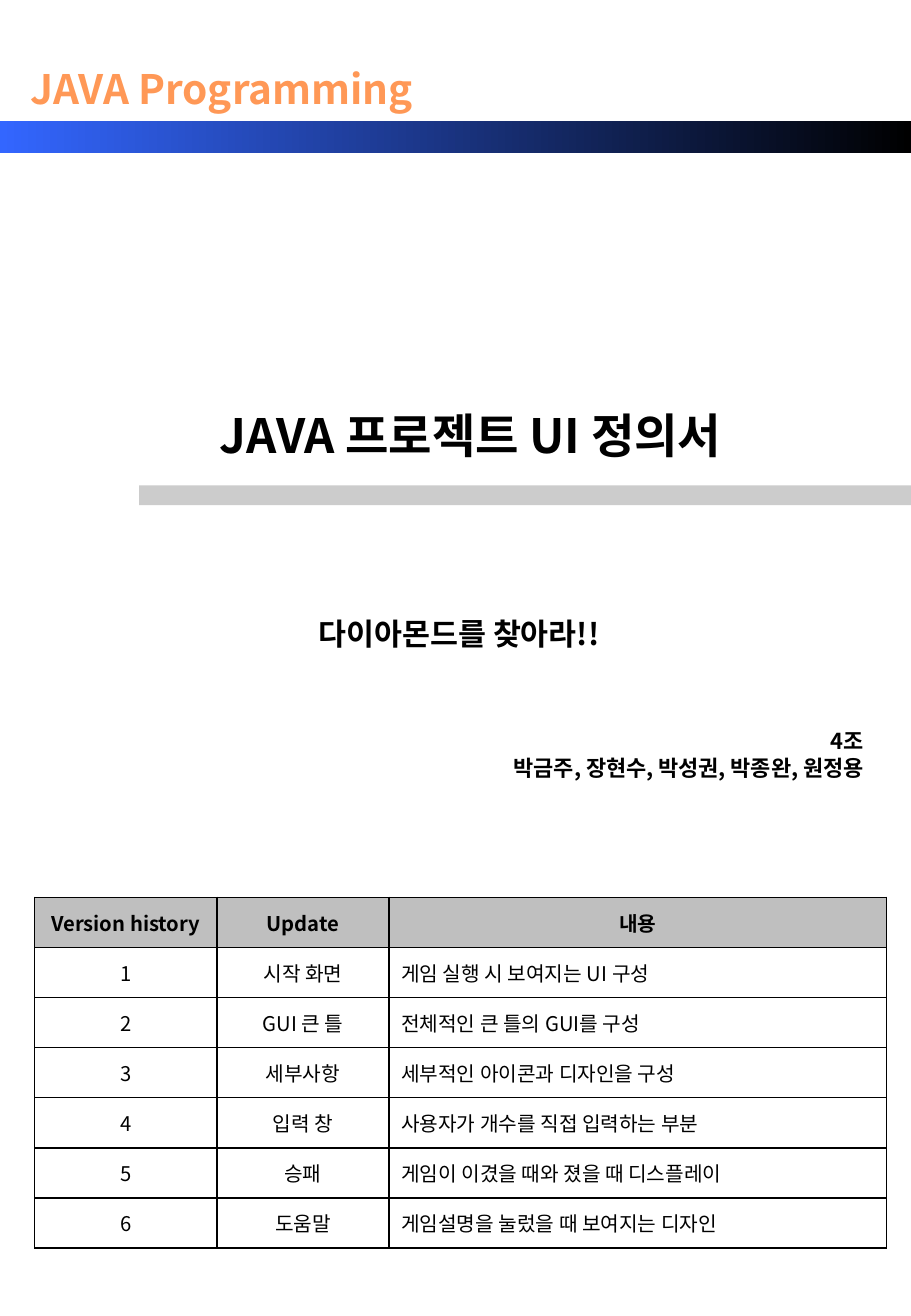
"""Build the cover page of a Java project UI definition document."""
from dataclasses import dataclass

from lxml.etree import SubElement
from pptx import Presentation
from pptx.dml.color import RGBColor
from pptx.enum.shapes import MSO_SHAPE
from pptx.enum.text import MSO_ANCHOR, PP_ALIGN
from pptx.oxml.ns import qn
from pptx.util import Pt


@dataclass(frozen=True)
class Theme:
    font: str = "Noto Sans CJK KR"
    black: str = "000000"
    white: str = "FFFFFF"
    orange: str = "FF9856"
    blue: str = "3366FF"
    rule: str = "CCCCCC"
    head_fill: str = "BFBFBF"
    course_size: int = 24
    title_size: int = 28
    subtitle_size: int = 18
    team_size: int = 13
    table_size: int = 12


T = Theme()
WIDTH, HEIGHT = 540, 780
LEFT, CENTER, RIGHT = PP_ALIGN.LEFT, PP_ALIGN.CENTER, PP_ALIGN.RIGHT

TEXTS = [
    (["JAVA Programming"], (10, 34.5, 243, 36), T.course_size, T.orange, CENTER),
    (["JAVA 프로젝트 UI 정의서"], (24, 237, 510, 91), T.title_size, T.black, CENTER),
    (["다이아몬드를 찾아라!!"], (83, 361, 378, 63), T.subtitle_size, T.black, CENTER),
    (["4조", "박금주, 장현수, 박성권, 박종완, 원정용"],
     (173, 428, 346, 45), T.team_size, T.black, RIGHT),
]
HEADINGS = ("Version history", "Update", "내용")
VERSIONS = [
    ("시작 화면", "게임 실행 시 보여지는 UI 구성"),
    ("GUI 큰 틀", "전체적인 큰 틀의 GUI를 구성"),
    ("세부사항", "세부적인 아이콘과 디자인을 구성"),
    ("입력 창", "사용자가 개수를 직접 입력하는 부분"),
    ("승패", "게임이 이겼을 때와 졌을 때 디스플레이"),
    ("도움말", "게임설명을 눌렀을 때 보여지는 디자인"),
]
TABLE_LEFT, TABLE_TOP, ROW_HEIGHT = 20.6, 531.8, 29.72
COLUMN_WIDTHS = (108, 102, 295)


def color(value):
    return RGBColor.from_string(value)


def add_run(p, text, size, ink, bold, align):
    p.alignment = align
    r = p.add_run()
    r.text = text
    r.font.size, r.font.bold, r.font.name = Pt(size), bold, T.font
    r.font.fill.solid()
    r.font.fill.fore_color.rgb = color(ink)
    SubElement(r.font._element, qn("a:ea"), typeface=T.font)


def add_text(s, lines, box, size, ink, align):
    tf = s.shapes.add_textbox(*map(Pt, box)).text_frame
    tf.word_wrap = True
    for i, line in enumerate(lines):
        p = tf.add_paragraph() if i else tf.paragraphs[0]
        add_run(p, line, size, ink, True, align)


def add_bar(s, *box):
    sp = s.shapes.add_shape(MSO_SHAPE.RECTANGLE, *map(Pt, box))
    sp.shadow.inherit = False
    sp.line.fill.background()
    return sp


def add_borders(cell):
    tc_pr = cell._tc.get_or_add_tcPr()
    for side in ("lnL", "lnR", "lnT", "lnB"):
        ln = SubElement(tc_pr, qn(f"a:{side}"), w=str(Pt(1)))
        fill = SubElement(ln, qn("a:solidFill"))
        SubElement(fill, qn("a:srgbClr"), val=T.black)


def add_history(s):
    rows = [HEADINGS] + [(str(n), *v) for n, v in enumerate(VERSIONS, 1)]
    frame = s.shapes.add_table(
        len(rows), len(HEADINGS), Pt(TABLE_LEFT), Pt(TABLE_TOP),
        Pt(sum(COLUMN_WIDTHS)), Pt(ROW_HEIGHT * len(rows)))
    table = frame.table
    table.horz_banding = table.first_row = False
    for column, width in zip(table.columns, COLUMN_WIDTHS):
        column.width = Pt(width)
    for i, row in enumerate(rows):
        table.rows[i].height = Pt(ROW_HEIGHT)
        head = i == 0
        for j, text in enumerate(row):
            cell = table.cell(i, j)
            add_borders(cell)
            cell.fill.solid()
            cell.fill.fore_color.rgb = color(T.head_fill if head else T.white)
            cell.vertical_anchor = MSO_ANCHOR.MIDDLE
            align = CENTER if head or j < 2 else LEFT
            add_run(cell.text_frame.paragraphs[0], text, T.table_size,
                    T.black, head, align)


prs = Presentation()
prs.slide_width, prs.slide_height = Pt(WIDTH), Pt(HEIGHT)
s = prs.slides.add_slide(prs.slide_layouts[6])

banner = add_bar(s, 0, 71.6, WIDTH, 19.2)
banner.fill.gradient()
banner.fill.gradient_angle = 0
for stop, shade, position in zip(banner.fill.gradient_stops, (T.blue, T.black), (0, 1)):
    stop.color.rgb, stop.position = color(shade), position

rule = add_bar(s, 82.5, 287.7, WIDTH - 82.5, 11.8)
rule.fill.solid()
rule.fill.fore_color.rgb = color(T.rule)

for text in TEXTS:
    add_text(s, *text)
add_history(s)
prs.save("out.pptx")
